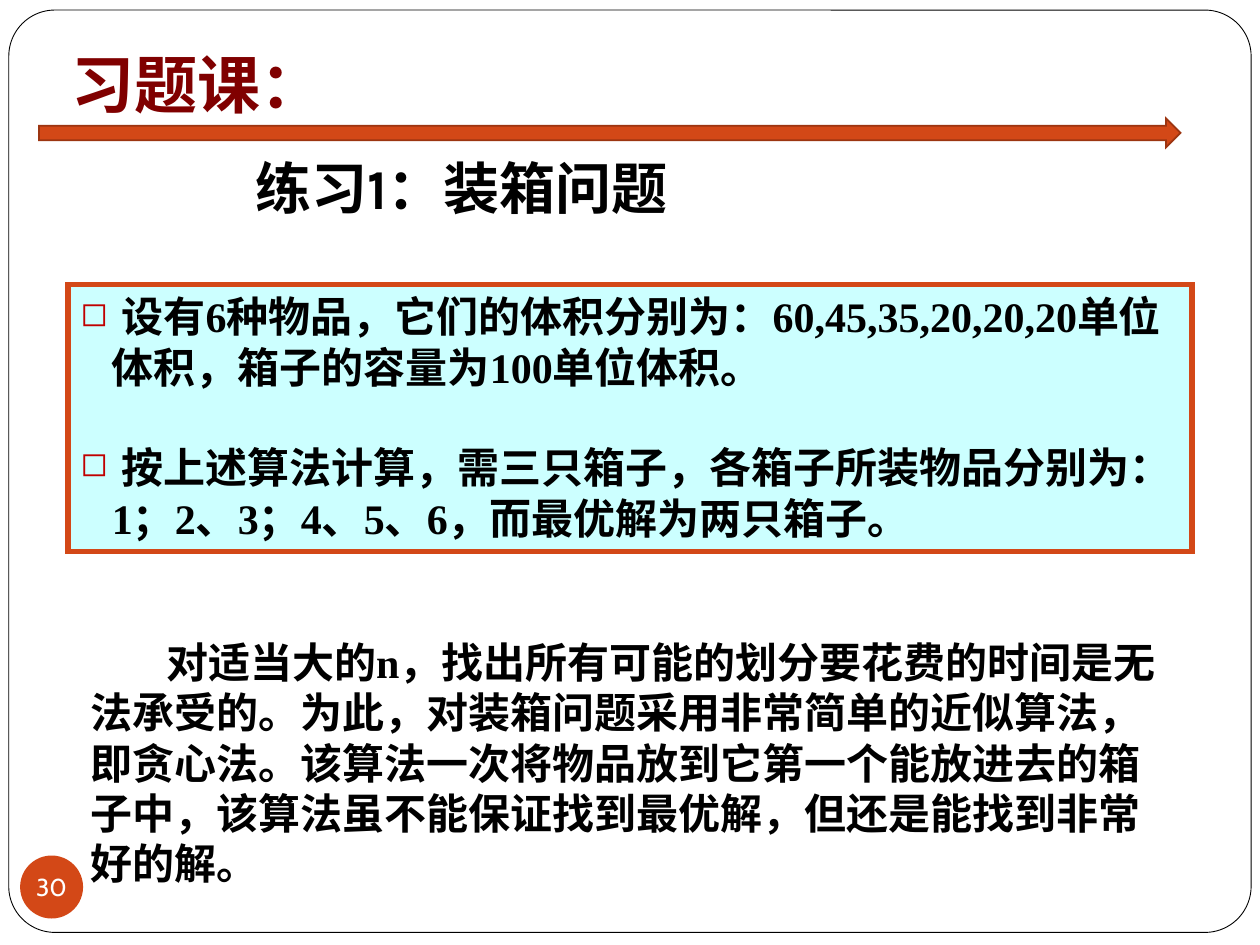
from lxml import etree
from pptx import Presentation
from pptx.dml.color import RGBColor
from pptx.enum.shapes import MSO_SHAPE
from pptx.enum.text import MSO_ANCHOR, PP_ALIGN
from pptx.oxml.ns import qn
from pptx.util import Inches, Pt

ROUNDED, OVAL = MSO_SHAPE.ROUNDED_RECTANGLE, MSO_SHAPE.OVAL
BOX, ARROW = MSO_SHAPE.RECTANGLE, MSO_SHAPE.RIGHT_ARROW
CENTER, LEFT = PP_ALIGN.CENTER, PP_ALIGN.LEFT
TOP, MIDDLE = MSO_ANCHOR.TOP, MSO_ANCHOR.MIDDLE

BLACK, WHITE = RGBColor(0, 0, 0), RGBColor(255, 255, 255)
ORANGE, RUST = RGBColor(0xD3, 0x48, 0x17), RGBColor(0x9C, 0x35, 0x11)
MAROON, CYAN = RGBColor(0x80, 0, 0), RGBColor(0xCC, 0xFF, 0xFF)
BULLET_RED = RGBColor(0xC0, 0, 0)

SANS, SERIF, HAN, NUMERAL = "Karla", "Times New Roman", "Noto Sans CJK SC", "Cabin"

PAGE_NUMBER = "30"
HEADING = "习题课："
EXERCISE, EXERCISE_NAME = "练习1：", "装箱问题"
PROBLEM = [
    " 设有6种物品，它们的体积分别为：60,45,35,20,20,20单位体积，箱子的容量为100单位体积。",
    " 按上述算法计算，需三只箱子，各箱子所装物品分别为：1；2、3；4、5、6，而最优解为两只箱子。",
]
REMARK = (
    "对适当大的n，找出所有可能的划分要花费的时间是无法承受的。"
    "为此，对装箱问题采用非常简单的近似算法，即贪心法。"
    "该算法一次将物品放到它第一个能放进去的箱子中，"
    "该算法虽不能保证找到最优解，但还是能找到非常好的解。"
)
HANGING, FIRST_LINE, ITEM_GAP = Inches(0.25), Inches(0.6), Pt(28.5)


def add_panel(slide, kind, place, fill, line=None, width=0):
    """Add a filled preset shape, outlined with sharp corners if a line colour is given."""
    panel = slide.shapes.add_shape(kind, *map(Inches, place))
    panel.shadow.inherit = False
    panel.fill.solid()
    panel.fill.fore_color.rgb = fill
    if line is None:
        panel.line.fill.background()
    else:
        panel.line.color.rgb = line
        panel.line.width = Pt(width)
        outline = panel._element.spPr.find(qn("a:ln"))
        etree.SubElement(outline, qn("a:miter")).set("lim", "800000")
    return panel


def add_text(slide, place):
    """Add a wrapping text box and return its frame."""
    frame = slide.shapes.add_textbox(*map(Inches, place)).text_frame
    frame.word_wrap = True
    return frame


def style(paragraph, font, size, color=BLACK, bold=True, align=LEFT):
    """Set the alignment and the font of a whole paragraph."""
    paragraph.alignment = align
    paragraph.font.name = font
    paragraph.font.size = Pt(size)
    paragraph.font.bold = bold
    paragraph.font.color.rgb = color
    properties = paragraph._p.pPr
    properties.set("hangingPunct", "0")
    defaults = properties.find(qn("a:defRPr"))
    etree.SubElement(defaults, qn("a:ea")).set("typeface", HAN)


def set_indent(paragraph, margin, first):
    """Set the left margin and the first-line indent of a paragraph."""
    properties = paragraph._p.get_or_add_pPr()
    properties.set("marL", str(margin))
    properties.set("indent", str(first))


def add_bullet(paragraph):
    """Give a styled paragraph a hanging red square bullet."""
    set_indent(paragraph, HANGING, -HANGING)
    defaults = paragraph._p.pPr.find(qn("a:defRPr"))
    color = etree.Element(qn("a:buClr"))
    etree.SubElement(color, qn("a:srgbClr")).set("val", str(BULLET_RED))
    size = etree.Element(qn("a:buSzPct"), val="80000")
    mark = etree.Element(qn("a:buChar"), char="◻")
    for part in (color, size, mark):
        defaults.addprevious(part)


def main():
    """Build the bin-packing exercise slide."""
    deck = Presentation()
    deck.slide_width, deck.slide_height = Inches(10), Inches(7.5)
    slide = deck.slides.add_slide(deck.slide_layouts[6])

    border = add_panel(slide, ROUNDED, (0.07, 0.08, 9.86, 7.32), WHITE, BLACK, 0.5)
    border.adjustments[0] = 0.05

    badge = add_panel(slide, OVAL, (0.16, 6.79, 0.5, 0.5), ORANGE).text_frame
    badge.margin_left = badge.margin_right = badge.margin_top = badge.margin_bottom = 0
    badge.word_wrap = False
    badge.vertical_anchor = MIDDLE
    badge.text = PAGE_NUMBER
    style(badge.paragraphs[0], NUMERAL, 14, WHITE, False, CENTER)

    exercise = add_text(slide, (0.62, 1.17, 6.09, 0.64)).paragraphs[0]
    exercise.add_run().text = EXERCISE
    name = exercise.add_run()
    name.text = EXERCISE_NAME
    name.font.name = HAN
    style(exercise, SANS, 32, align=CENTER)

    problem = add_panel(slide, BOX, (0.54, 2.26, 8.92, 2.12), CYAN, ORANGE, 3).text_frame
    problem.word_wrap = True
    problem.vertical_anchor = TOP
    problem.text = "\n".join(PROBLEM)
    for item in problem.paragraphs:
        style(item, SERIF, 24)
        add_bullet(item)
    problem.paragraphs[1].space_before = ITEM_GAP

    heading = add_text(slide, (0.47, 0.31, 3.98, 0.71))
    heading.text = HEADING
    style(heading.paragraphs[0], SANS, 36, MAROON)

    add_panel(slide, ARROW, (0.31, 0.94, 9.06, 0.23), ORANGE, RUST, 1)

    remark = add_text(slide, (0.62, 5, 8.75, 2.12))
    remark.text = REMARK
    style(remark.paragraphs[0], SERIF, 24)
    set_indent(remark.paragraphs[0], 0, FIRST_LINE)

    deck.save("out.pptx")


if __name__ == "__main__":
    main()
